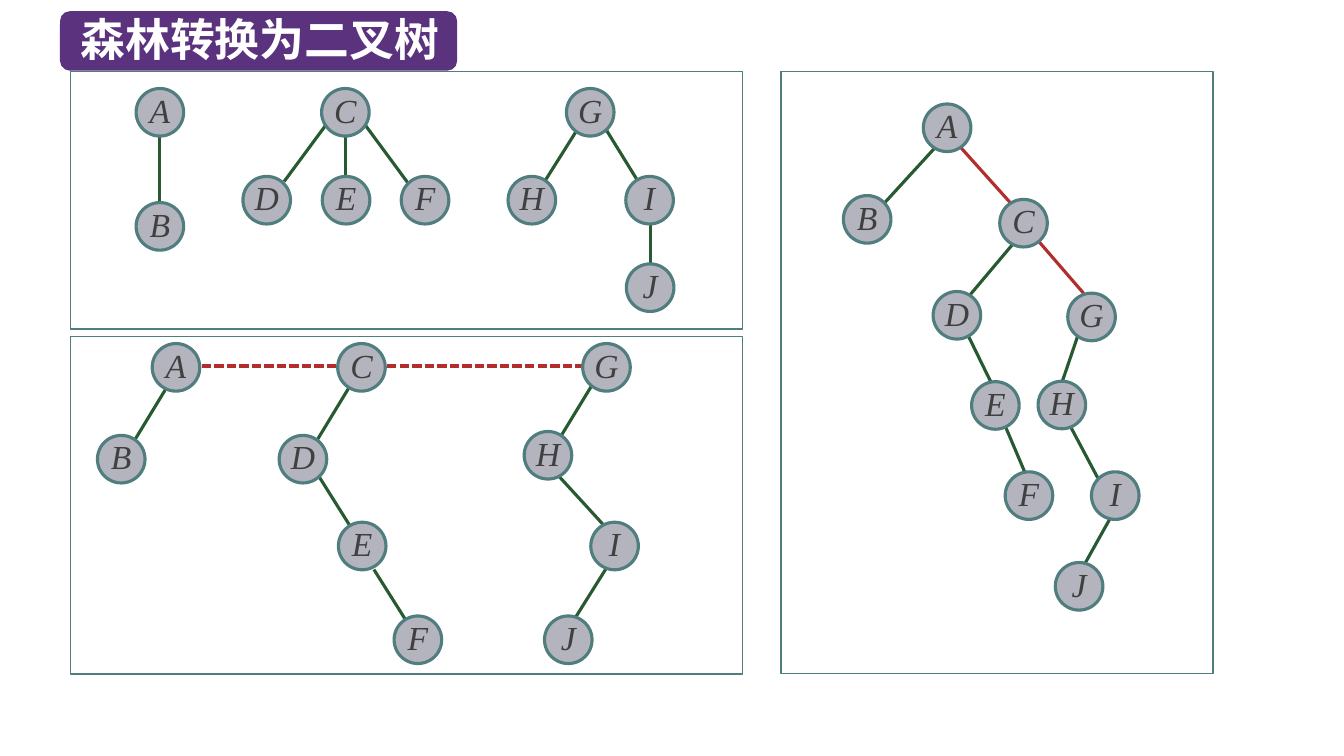
from lxml.etree import SubElement
from pptx import Presentation
from pptx.dml.color import RGBColor
from pptx.enum.dml import MSO_LINE
from pptx.enum.shapes import MSO_CONNECTOR, MSO_SHAPE
from pptx.enum.text import MSO_ANCHOR, PP_ALIGN
from pptx.oxml.ns import qn
from pptx.util import Pt

PURPLE = RGBColor(0x5A, 0x32, 0x7D)
WHITE = RGBColor(0xFF, 0xFF, 0xFF)
GRAY = RGBColor(0xB4, 0xB4, 0xBE)
TEAL = RGBColor(0x50, 0x7D, 0x7D)
GREEN = RGBColor(0x28, 0x5A, 0x32)
RED = RGBColor(0xB4, 0x2D, 0x2D)
DARK = RGBColor(0x40, 0x40, 0x40)
SIZE = 34  # node diameter

deck = Presentation()
deck.slide_width, deck.slide_height = Pt(960), Pt(540)
slide = deck.slides.add_slide(deck.slide_layouts[6])
shapes = slide.shapes


def add_box(kind, left, top, width, height, fill=None, edge=None, weight=1):
    box = shapes.add_shape(kind, Pt(left), Pt(top), Pt(width), Pt(height))
    box.shadow.inherit = False
    if fill is None:
        box.fill.background()
    else:
        box.fill.solid()
        box.fill.fore_color.rgb = fill
    if edge is None:
        box.line.fill.background()
    else:
        box.line.color.rgb = edge
        box.line.width = Pt(weight)
    return box


def add_edge(x1, y1, x2, y2, color):
    edge = shapes.add_connector(MSO_CONNECTOR.STRAIGHT, Pt(x1), Pt(y1), Pt(x2), Pt(y2))
    edge.line.color.rgb = color
    edge.line.width = Pt(2.25)
    SubElement(edge._element.spPr, qn("a:effectLst"))
    return edge


# Title
add_box(MSO_SHAPE.ROUNDED_RECTANGLE, 42.9, 8, 283.7, 42.5, PURPLE)
title = shapes.add_textbox(Pt(50.4), Pt(5), Pt(280), Pt(46)).text_frame
title.word_wrap = True
para = title.paragraphs[0]
para.text = "森林转换为二叉树"
para.font.size, para.font.bold = Pt(32), True
para.font.name = "Noto Sans CJK SC"
para.font.color.rgb = WHITE
# East Asian text needs its own typeface entry
props = para._p.pPr.find(qn("a:defRPr"))
SubElement(props, qn("a:ea"), typeface="Noto Sans CJK SC")

# Panels: forest, linked roots, binary tree
for frame in [(50.4, 51.1, 480, 184), (50.4, 240.5, 480, 241), (558, 51.1, 308.5, 430)]:
    add_box(MSO_SHAPE.RECTANGLE, *frame, edge=TEAL)

# Tree edges
green = [
    # Forest
    (113.8, 97.9, 113.8, 146.2), (233.3, 88.6, 203, 129.6),
    (247, 97.2, 247, 125.3), (261.4, 90, 291.6, 131),
    (412.6, 92.2, 389.5, 128.9), (432.7, 92.2, 455.8, 129.6),
    (464.4, 159.8, 464.4, 187.9),
    # Linked roots
    (118.8, 277.2, 96.5, 313.9), (249.1, 277.2, 226.8, 313.9),
    (227.5, 339.8, 250.6, 376.6), (267.1, 406.8, 290.2, 443.5),
    (423.4, 274.3, 401, 311), (399.6, 340.6, 430.6, 374.4),
    (433.4, 405.4, 410.4, 442.1),
    # Binary tree
    (668.9, 104.4, 631.4, 145.4), (723.6, 174.2, 692.6, 211),
    (691.2, 239, 707.8, 272.9), (717.8, 303.8, 732.2, 337.7),
    (770.4, 238.3, 758.9, 272.2), (764.6, 304.6, 784.1, 341.3),
    (792.7, 370.8, 775.4, 401.8),
]
for ends in green:
    add_edge(*ends, GREEN)

# Links between roots
for ends in [(685.4, 104.4, 722.2, 145.4), (742.3, 172.8, 774, 209.5)]:
    add_edge(*ends, RED)
for start, end in [(144, 240.5), (276.5, 415.4)]:
    link = add_edge(start, 261.4, end, 261.4, RED)
    link.line.dash_style = MSO_LINE.SQUARE_DOT

# Nodes: left and top of A to J in each panel
forest = [
    (97.2, 63.2), (97.2, 144.7), (229.7, 63.2), (173.5, 126), (230.2, 126),
    (286.6, 126), (404.6, 63.2), (362.9, 126), (447, 126), (447.4, 188.5),
]
linked = [
    (108.7, 245.4), (69.6, 311), (241.2, 245.4), (199.4, 311), (241.7, 373),
    (281.5, 440), (416.2, 245.4), (374.4, 308.2), (422, 373), (388.9, 440),
]
binary = [
    (659.5, 74.3), (602.4, 139.7), (714.1, 142.4), (666.5, 208.2), (694, 272.6),
    (718, 337), (762.7, 209.4), (741.5, 272.3), (779.6, 337), (753.8, 401.8),
]
for spots in (forest, linked, binary):
    for name, (left, top) in zip("ABCDEFGHIJ", spots):
        node = add_box(MSO_SHAPE.OVAL, left, top, SIZE, SIZE, GRAY, TEAL, 2.25)
        text = node.text_frame
        text.margin_left = text.margin_right = text.margin_top = text.margin_bottom = 0
        text.vertical_anchor = MSO_ANCHOR.MIDDLE
        para = text.paragraphs[0]
        para.text = name
        para.alignment = PP_ALIGN.CENTER
        para.line_spacing = Pt(25)
        para.font.size, para.font.italic = Pt(24), True
        para.font.name = "Times New Roman"
        para.font.color.rgb = DARK

deck.save("out.pptx")
